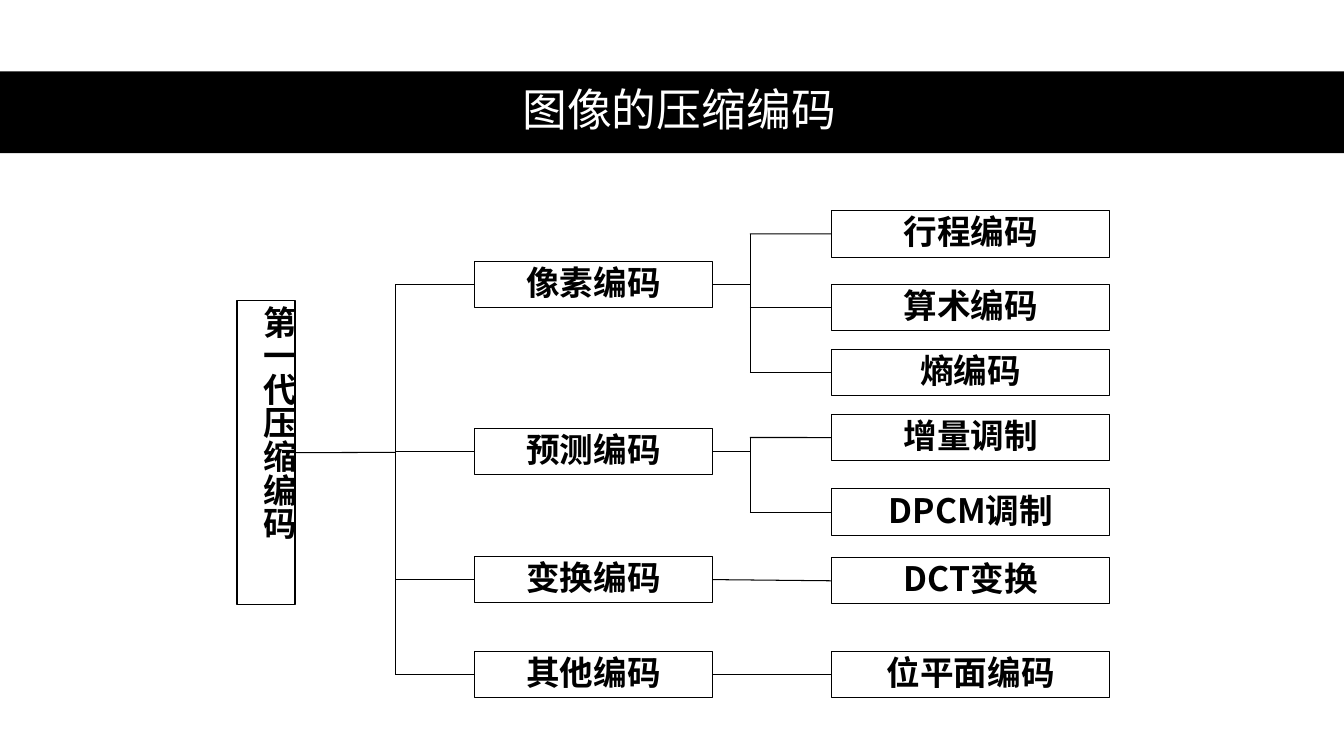
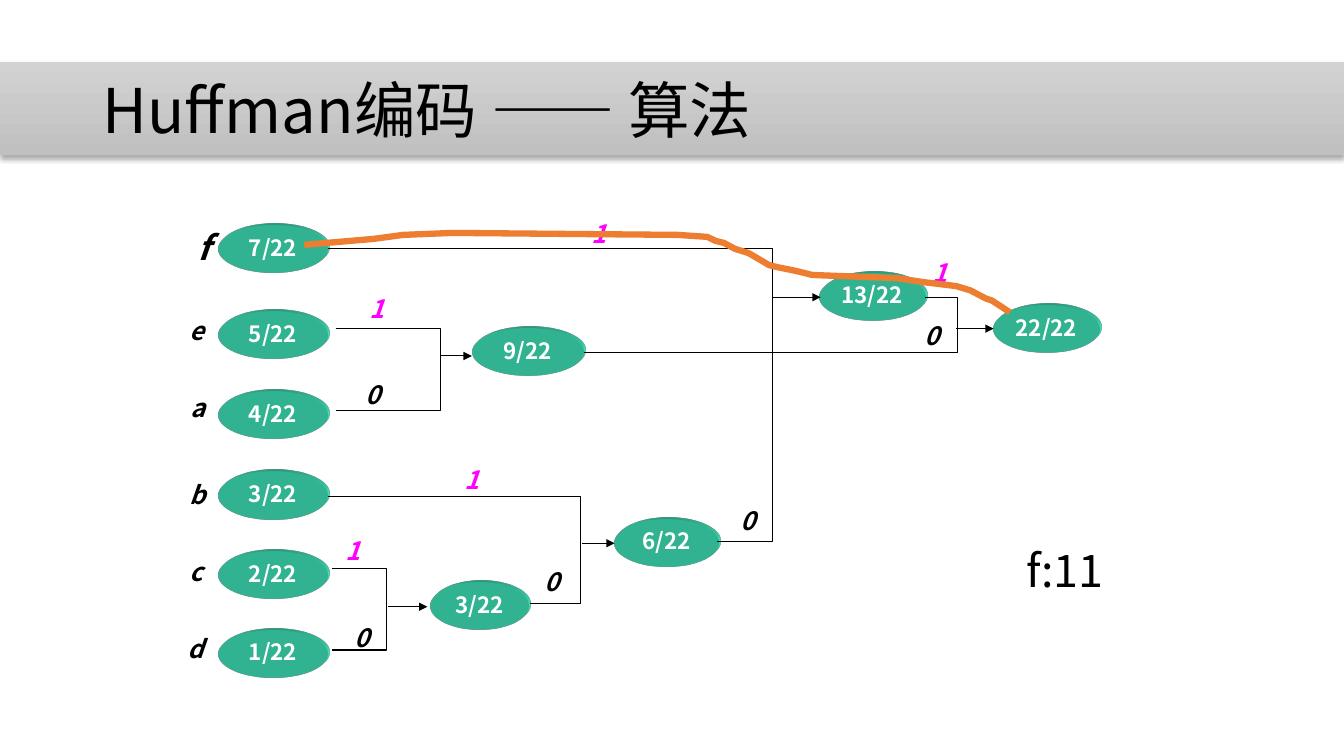
import lxml.etree
import pptx
import pptx.dml.color
import pptx.enum.dml
import pptx.enum.shapes
import pptx.enum.text
import pptx.oxml
import pptx.oxml.ns
import pptx.util

Cm = pptx.util.Cm
Pt = pptx.util.Pt
qn = pptx.oxml.ns.qn
KIND = pptx.enum.shapes.MSO_SHAPE
LINK = pptx.enum.shapes.MSO_CONNECTOR
ALIGN = pptx.enum.text.PP_ALIGN
ANCHOR = pptx.enum.text.MSO_ANCHOR

FACE = "Noto Sans CJK SC"
WIDE, HIGH = 33.87, 19.05
HUES = {
    "ink": "000000",
    "paper": "FFFFFF",
    "node": "47FFCF",
    "one": "FF00FF",
    "trace": "ED7D31",
    "light": "D2D2D2",
    "dark": "C0C0C0",
}
BOX_H = 1.17
MID_X, MID_W = 11.96, 5.99
LEAF_X, LEAF_W = 20.96, 7.01
TRUNK_X, FORK_X = 9.96, 18.9
TREE = [
    ("像素编码", 6.58, [("行程编码", 5.31), ("算术编码", 7.16), ("熵编码", 8.81)]),
    ("预测编码", 10.8, [("增量调制", 10.44), ("DPCM调制", 12.32)]),
    ("变换编码", 14.02, [("DCT变换", 14.05)]),
    ("其他编码", 16.41, [("位平面编码", 16.41)]),
]
START_X, START_W, NODE_H = 5.51, 2.74, 1.19
START = [
    ("f", "7/22", 5.69, 5.14, 6.3, 24),
    ("e", "5/22", 7.85, 4.97, 8.38, 18),
    ("a", "4/22", 9.86, 4.99, 10.31, 18),
    ("b", "3/22", 11.89, 4.98, 12.5, 18),
    ("c", "2/22", 13.89, 4.94, 14.45, 18),
    ("d", "1/22", 15.88, 4.94, 16.38, 18),
]
SUMS = [
    ("3/22", 10.85, 14.68, 2.46),
    ("6/22", 15.49, 13.08, 2.62),
    ("9/22", 11.91, 8.28, 2.79),
    ("13/22", 20.65, 6.88, 2.67),
    ("22/22", 25.04, 7.7, 2.67),
]
FORKS = [
    (8.38, 14.33, 9.73, 8.38, 16.38),
    (8.26, 6.27, 19.46, 18.06, 13.64),
    (8.26, 12.5, 14.63, 13.36, 15.21),
    (8.46, 8.28, 11.1, 8.46, 10.34),
    (14.71, 8.89, 24.13, 23.32, 7.49),
]
ARROWS = [
    (9.78, 10.77, 15.29),
    (14.66, 15.49, 13.69),
    (11.1, 11.89, 8.97),
    (19.48, 20.68, 7.49),
    (24.1, 25.04, 8.28),
]
BITS = {
    "1": [(23.69, 6.91), (15.1, 5.92), (9.49, 7.82), (11.9, 12.12), (8.9, 13.92)],
    "0": [(23.48, 8.51), (18.86, 13.16), (9.41, 9.98), (13.91, 14.71), (9.11, 16.1)],
}
TRACE = [
    (7.67, 6.17), (9.42, 6.02), (10.16, 5.92), (11.4, 5.87), (17.09, 5.92),
    (17.83, 5.97), (18.03, 6.07), (18.24, 6.12), (18.52, 6.27), (18.87, 6.38),
    (19.38, 6.68), (19.58, 6.73), (20.07, 6.83), (20.47, 6.93), (22.61, 7.01),
    (23.27, 7.11), (24.1, 7.21), (24.46, 7.32), (24.84, 7.52), (24.99, 7.57),
    (25.3, 7.77), (25.45, 7.87),
]
NS = 'xmlns:a="http://schemas.openxmlformats.org/drawingml/2006/main"'
GLOW = f"""<a:effectLst {NS}>
<a:outerShdw blurRad="44450" dist="27940" dir="5400000" rotWithShape="0">
<a:srgbClr val="{HUES['ink']}"><a:alpha val="32000"/></a:srgbClr>
</a:outerShdw></a:effectLst>"""
SCENE = f"""<a:scene3d {NS}><a:camera prst="legacyObliqueTopRight"/>
<a:lightRig rig="legacyFlat3" dir="b"/></a:scene3d>"""
DEPTH = f"""<a:sp3d {NS} extrusionH="49200" prstMaterial="legacyMatte">
<a:bevelT w="13500" h="13500" prst="angle"/>
<a:bevelB w="13500" h="13500" prst="angle"/>
<a:extrusionClr><a:srgbClr val="{HUES['node']}"/></a:extrusionClr></a:sp3d>"""


def hue(name):
    return pptx.dml.color.RGBColor.from_string(HUES[name])


def write(shape, text, size, color="ink", bold=False, slant=False,
          align=ALIGN.CENTER, wrap=True, left=0):
    frame = shape.text_frame
    frame.auto_size = pptx.enum.text.MSO_AUTO_SIZE.NONE
    frame.word_wrap = wrap
    frame.vertical_anchor = ANCHOR.MIDDLE
    frame.margin_left = Cm(left)
    frame.margin_right = frame.margin_top = frame.margin_bottom = 0
    frame.text = text
    para = frame.paragraphs[0]
    para.alignment = align
    para.line_spacing = 0.9
    para.space_before = Pt(0)
    font = para.font
    font.size = Pt(size)
    font.bold = bold
    font.italic = slant
    font.color.rgb = hue(color)
    font.name = FACE
    lxml.etree.SubElement(font._rPr, qn("a:ea"), typeface=FACE)


def shape(slide, kind, x, y, w, h, fill, edge=None):
    item = slide.shapes.add_shape(kind, Cm(x), Cm(y), Cm(w), Cm(h))
    item.shadow.inherit = False
    item.fill.solid()
    item.fill.fore_color.rgb = hue(fill)
    if edge:
        item.line.color.rgb = hue("ink")
        item.line.width = Pt(edge)
    else:
        item.line.fill.background()
    return item


def box(slide, text, x, y, w, h=BOX_H, edge=0.75):
    item = shape(slide, KIND.RECTANGLE, x, y, w, h, "paper", edge)
    write(item, text, 24, bold=True)
    return item


def node(slide, text, x, y, w):
    item = shape(slide, KIND.OVAL, x, y, w, NODE_H, "node")
    for part in (SCENE, DEPTH):
        item._element.spPr.append(pptx.oxml.parse_xml(part))
    write(item, text, 16, "paper", bold=True, wrap=False)


def label(slide, text, x, y, size=18, color="ink"):
    w, h = 1.3, 0.46
    item = slide.shapes.add_textbox(Cm(x - w / 2), Cm(y - h / 2), Cm(w), Cm(h))
    write(item, text, size, color, bold=True, slant=True, wrap=False)


def line(slide, x1, y1, x2, y2, width=0.75, head=False, start=None, end=None):
    item = slide.shapes.add_connector(LINK.STRAIGHT, Cm(x1), Cm(y1), Cm(x2), Cm(y2))
    item.line.color.rgb = hue("ink")
    item.line.width = Pt(width)
    if head:
        lxml.etree.SubElement(item.line._get_or_add_ln(), qn("a:tailEnd"), type="triangle")
    lxml.etree.SubElement(item._element.spPr, qn("a:effectLst"))
    if start is not None:
        item.begin_connect(start, 3)
    if end is not None:
        item.end_connect(end, 1)


def stroke(slide, points, color, width):
    spots = [(Cm(x), Cm(y)) for x, y in points]
    pen = slide.shapes.build_freeform(*spots[0])
    pen.add_line_segments(spots[1:], close=False)
    item = pen.convert_to_shape()
    item.shadow.inherit = False
    item.fill.background()
    item.line.color.rgb = hue(color)
    item.line.width = Pt(width)


def page(deck, text, size, color, align, area, top, high):
    slide = deck.slides.add_slide(deck.slide_layouts[5])
    title = slide.shapes.title
    title.left, title.top, title.width, title.height = (Cm(v) for v in area)
    write(title, text, size, color, align=align, left=0.25 if align == ALIGN.LEFT else 0)
    band = shape(slide, KIND.RECTANGLE, 0, top, WIDE, high, "ink")
    slide.shapes._spTree.insert(2, band._element)
    return slide, band


def tree(deck):
    slide, _ = page(deck, "图像的压缩编码", 32, "paper", ALIGN.CENTER,
                    (1.55, 1.78, 31.14, 2.06), 1.8, 2.06)
    root = box(slide, "第一代压缩编码", 5.97, 7.57, 1.47, 7.67, 1)
    frame = root.text_frame
    frame._txBody.bodyPr.set("vert", "eaVert")
    frame.vertical_anchor = ANCHOR.TOP
    frame.margin_top = Cm(0.13)
    frame.paragraphs[0].alignment = ALIGN.LEFT
    half = BOX_H / 2
    line(slide, 7.44, 11.4, TRUNK_X, 11.4, start=root)
    line(slide, TRUNK_X, TREE[0][1] + half, TRUNK_X, TREE[-1][1] + half)
    for text, top, kids in TREE:
        y = top + half
        mid = box(slide, text, MID_X, top, MID_W)
        line(slide, TRUNK_X, y, MID_X, y, end=mid)
        leaves = [box(slide, word, LEAF_X, spot, LEAF_W) for word, spot in kids]
        if len(kids) == 1:
            line(slide, MID_X + MID_W, y, LEAF_X, y, start=mid, end=leaves[0])
            continue
        line(slide, MID_X + MID_W, y, FORK_X, y, start=mid)
        line(slide, FORK_X, kids[0][1] + half, FORK_X, kids[-1][1] + half, 0.5)
        for leaf, (_, spot) in zip(leaves, kids):
            line(slide, FORK_X, spot + half, LEAF_X, spot + half, end=leaf)


def code(deck):
    slide, band = page(deck, "Huffman编码 —— 算法", 44, "ink", ALIGN.LEFT,
                       (2.34, 1.02, 29.21, 3.68), 1.57, 2.34)
    band.fill.gradient()
    band.fill.gradient_angle = 270
    for stop, name, place in zip(band.fill.gradient_stops, ("light", "dark"), (0, 1)):
        stop.color.rgb = hue(name)
        stop.position = place
    props = band._element.spPr
    props.remove(props.find(qn("a:effectLst")))
    props.append(pptx.oxml.parse_xml(GLOW))
    for sign, share, top, x, y, size in START:
        node(slide, share, START_X, top, START_W)
        label(slide, sign, x, y, size)
    for share, x, y, w in SUMS:
        node(slide, share, x, y, w)
    for x1, y1, turn, x2, y2 in FORKS:
        stroke(slide, [(x1, y1), (turn, y1), (turn, y2), (x2, y2)], "ink", 0.75)
    for x1, x2, y in ARROWS:
        line(slide, x1, y, x2, y, head=True)
    for bit, spots in BITS.items():
        for x, y in spots:
            label(slide, bit, x, y, color="one" if bit == "1" else "ink")
    note = slide.shapes.add_textbox(Cm(25.63), Cm(13.69), Cm(4.32), Cm(1.5))
    write(note, "f:11", 32, align=ALIGN.LEFT, left=0.25)
    stroke(slide, TRACE, "trace", 4.5)


def main():
    deck = pptx.Presentation()
    deck.slide_width, deck.slide_height = Cm(WIDE), Cm(HIGH)
    tree(deck)
    code(deck)
    deck.save("out.pptx")


if __name__ == "__main__":
    main()
